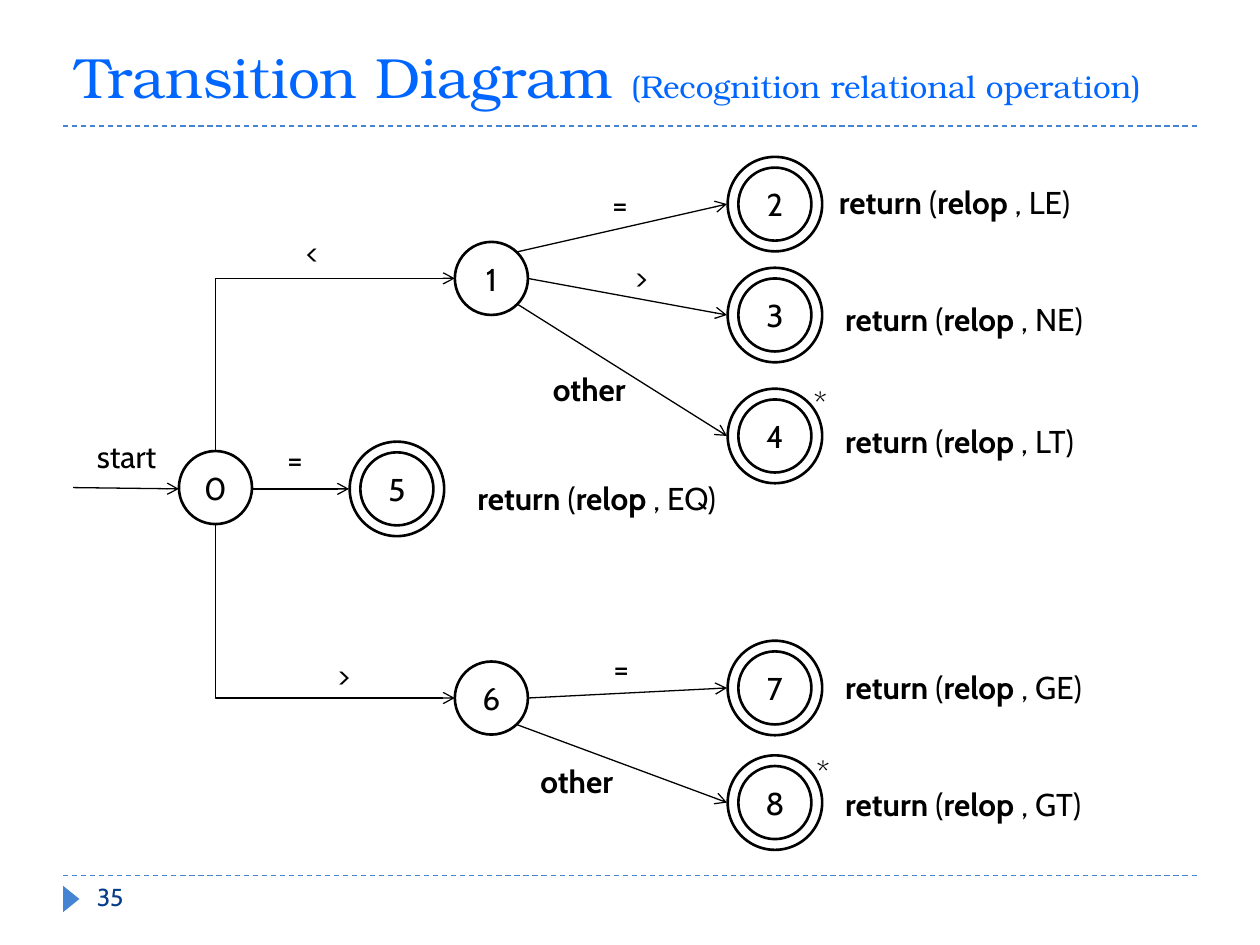
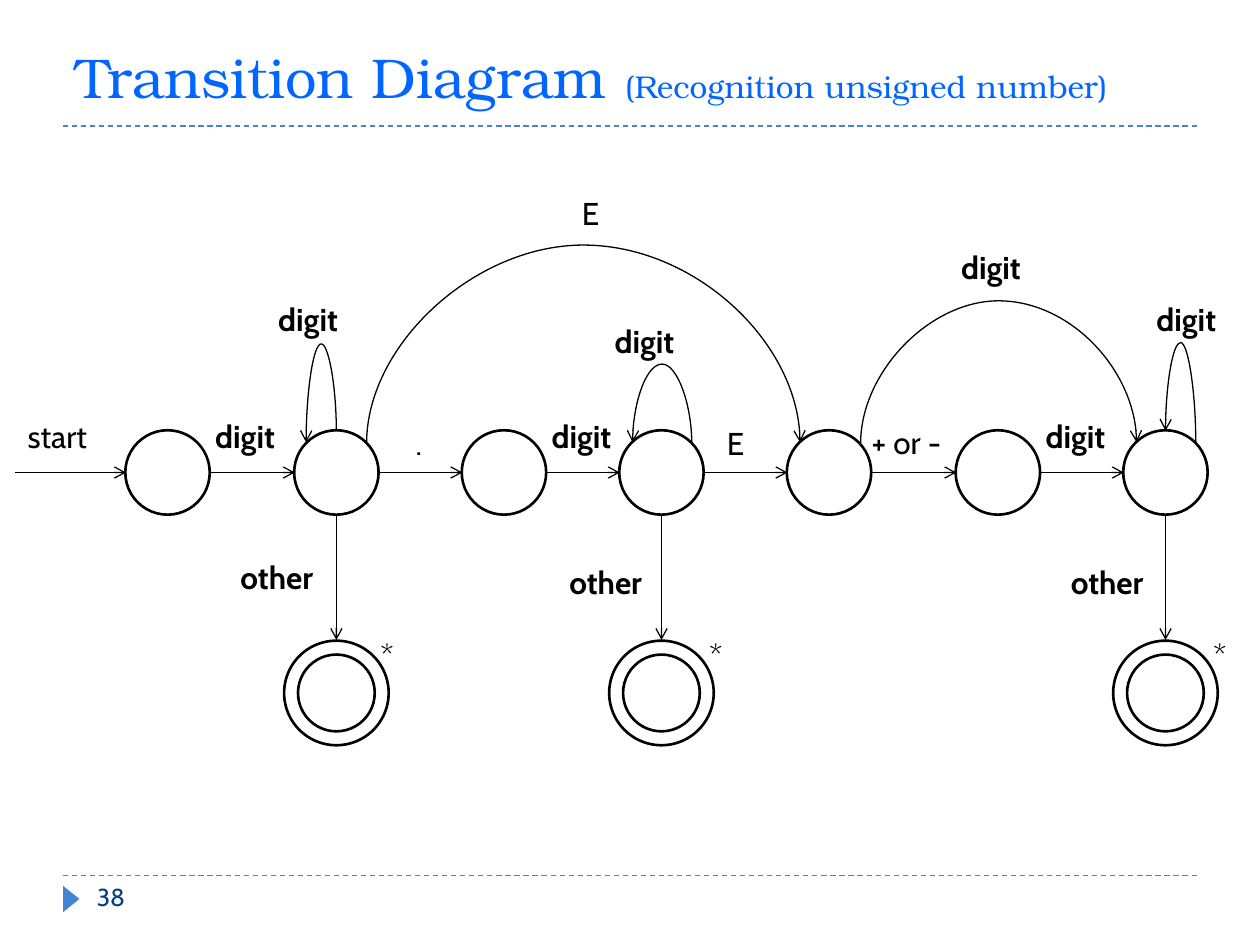
from lxml.etree import SubElement
from pptx import Presentation
from pptx.dml.color import RGBColor
from pptx.enum.dml import MSO_LINE
from pptx.enum.shapes import MSO_CONNECTOR, MSO_SHAPE
from pptx.enum.text import MSO_ANCHOR, MSO_AUTO_SIZE, PP_ALIGN
from pptx.oxml.ns import qn
from pptx.util import Inches, Pt

hue = RGBColor.from_string
BLACK, WHITE, BLUE, NAVY, AZURE = "000000", "FFFFFF", "4584D3", "073E87", "0066FF"
STRAIGHT, ELBOW, CURVE = MSO_CONNECTOR.STRAIGHT, MSO_CONNECTOR.ELBOW, MSO_CONNECTOR.CURVE


def write(shape, text, size=18, tint=BLACK, bold=False, face="Cabin", align=PP_ALIGN.LEFT):
    """Append one formatted run to the first paragraph of a shape."""
    para = shape.text_frame.paragraphs[0]
    para.alignment = align
    run = para.add_run()
    run.text = text
    run.font.name, run.font.size, run.font.bold = face, Pt(size), bold
    run.font.color.rgb = hue(tint)


def link(slide, start, end, kind=STRAIGHT, tint=BLACK, turn=0, flip="", bend=None,
         glue=(), dash=False):
    """Draw a line; a turned one is laid out in its box before rotation."""
    (x1, y1), (x2, y2) = start, end
    if turn:
        wide, high = abs(y2 - y1), abs(x2 - x1)
        left, top = (x1 + x2 - wide) / 2, (y1 + y2 - high) / 2
        x1, y1, x2, y2 = left, top, left + wide, top + high
    line = slide.shapes.add_connector(kind, *[Inches(v) for v in (x1, y1, x2, y2)])
    line.line.color.rgb = hue(tint)
    line.line.width = Pt(0.75)
    props = line._element.spPr
    if dash:
        line.line.dash_style = MSO_LINE.DASH
    else:
        SubElement(props.find(qn("a:ln")), qn("a:tailEnd"), type="arrow")
    SubElement(props, qn("a:effectLst"))
    if turn:
        frame, geom = props.find(qn("a:xfrm")), props.find(qn("a:prstGeom"))
        frame.set("rot", str(turn * 60000))
        for axis in flip:
            frame.set("flip" + axis, "1")
        if kind == ELBOW:
            geom.set("prst", "bentConnector2")
        if bend is not None:
            guides = geom.find(qn("a:avLst"))
            if guides is None:
                guides = SubElement(geom, qn("a:avLst"))
            SubElement(guides, qn("a:gd"), name="adj1", fmla=f"val {round(bend * 100000)}")
    # Sites on an oval run counterclockwise from the top, 0 to 7
    joint = line._element.find(qn("p:nvCxnSpPr")).find(qn("p:cNvCxnSpPr"))
    for tag, (node, site) in zip(("a:stCxn", "a:endCxn"), glue):
        SubElement(joint, qn(tag), id=str(node.shape_id), idx=str(site))


deck = Presentation()
deck.slide_width, deck.slide_height = Inches(10), Inches(7.5)

# Shared title, rules, marker and page number
pages = []
for topic, size, number in [("(Recognition relational operation)", 32.4, "35"),
                            ("(Recognition unsigned number)", 32, "38")]:
    slide = deck.slides.add_slide(deck.slide_layouts[5])
    pages.append(slide)
    for y in (6.95, 1):
        link(slide, (0.5, y), (9.5, y), tint=BLUE, dash=True)
    mark = slide.shapes.add_shape(MSO_SHAPE.ISOSCELES_TRIANGLE, Inches(0.46), Inches(7.07),
                                  Inches(0.21), Inches(0.13))
    mark.rotation = 90
    mark.shadow.inherit = False
    mark.fill.solid()
    mark.fill.fore_color.rgb = hue(BLUE)
    mark.line.fill.background()
    page = slide.shapes.add_textbox(Inches(0.67), Inches(6.95), Inches(0.5), Inches(0.4))
    page.text_frame.word_wrap = True
    write(page, number, size=14, tint=NAVY)
    title = slide.shapes.title
    title.left, title.top, title.width, title.height = [Inches(v) for v in (0.5, 0.17, 9, 0.75)]
    title.text_frame.auto_size = MSO_AUTO_SIZE.NONE
    title.text_frame.vertical_anchor = MSO_ANCHOR.BOTTOM
    write(title, "Transition Diagram ", size=size, tint=AZURE, face="TeX Gyre Bonum")
    write(title, topic, tint=AZURE, face="TeX Gyre Bonum")
relop, digits = pages

# States: slide, shape, centre, diameter, fill, key
spots = {"0": (1.71, 3.87), "5": (3.15, 3.88), "6": (3.9, 5.54), "1": (3.9, 2.21),
         "2": (6.15, 1.62), "3": (6.15, 2.5), "4": (6.15, 3.46), "8": (6.15, 6.37),
         "7": (6.15, 5.46)}
states = [(relop, MSO_SHAPE.OVAL, *spot, 0.58, WHITE, key) for key, spot in spots.items()]
states += [(relop, MSO_SHAPE.OVAL, *spots[key], 0.75, None, "ring" + key) for key in "523478"]
row = [1.33, 2.67, 4, 5.25, 6.58, 7.92, 9.25]
ends = [2.67, 5.25, 9.25]
states += [(digits, MSO_SHAPE.OVAL, x, 3.75, 0.67, WHITE, x) for x in row]
states += [(digits, MSO_SHAPE.DONUT, x, 5.5, 0.83, WHITE, ("end", x)) for x in ends]
nodes = {}
for slide, kind, x, y, size, fill, key in states:
    node = slide.shapes.add_shape(kind, Inches(x - size / 2), Inches(y - size / 2),
                                  Inches(size), Inches(size))
    node.shadow.inherit = False
    if fill:
        node.fill.solid()
        node.fill.fore_color.rgb = hue(fill)
    else:
        node.fill.background()
    node.line.color.rgb = hue(BLACK)
    node.line.width = Pt(1.5)
    if kind == MSO_SHAPE.DONUT:
        node.adjustments[0] = 0.133
    if key in spots:
        node.text_frame.word_wrap = False
        node.text_frame.vertical_anchor = MSO_ANCHOR.MIDDLE
        write(node, key, align=PP_ALIGN.CENTER)
    nodes[key] = node

# Relational operators: arrows
for start, end in [((2, 3.88), (2.77, 3.88)), ((0.58, 3.87), (1.42, 3.88)),
                   ((4.19, 2.21), (5.77, 2.5)), ((4.1, 2.41), (5.77, 3.46)),
                   ((4.1, 2), (5.77, 1.62)), ((4.19, 5.54), (5.77, 5.46)),
                   ((4.1, 5.75), (5.77, 6.37))]:
    link(relop, start, end)
link(relop, (1.71, 3.58), (3.61, 2.21), ELBOW, turn=90, flip="HV",
     glue=[(nodes["0"], 0), (nodes["1"], 2)])
link(relop, (1.71, 4.17), (3.61, 5.54), ELBOW, turn=270, flip="H",
     glue=[(nodes["0"], 4), (nodes["6"], 2)])

# Unsigned numbers: straight arrows
link(digits, (0.12, 3.75), (1, 3.75))
for x, follow in zip(row, row[1:]):
    link(digits, (x + 0.33, 3.75), (follow - 0.33, 3.75))
for x in ends:
    link(digits, (x, 4.08), (x, 5.08))

# Unsigned numbers: loops and jumps, each with its peak height
for start, end, peak, first, last in [
        ((2.67, 3.42), (2.43, 3.51), 2.73, (2.67, 0), (2.67, 1)),
        ((5.49, 3.52), (5.02, 3.51), 2.88, (5.25, 7), (5.25, 1)),
        ((9.49, 3.51), (9.25, 3.42), 2.72, (9.25, 7), (9.25, 0)),
        ((2.91, 3.52), (6.35, 3.51), 1.92, (2.67, 7), (6.58, 1)),
        ((6.83, 3.52), (9.02, 3.51), 2.37, (6.58, 7), (9.25, 1))]:
    right = end[0] > start[0]
    rises = start[1] > end[1]
    link(digits, start, end, CURVE, turn=90 if right else 270,
         flip="HV" if right == rises else "V", bend=(start[1] - peak) / (start[1] - end[1]),
         glue=[(nodes[key], site) for key, site in (first, last)])

# Labels: slide, left, top, width, runs, first run bold
labels = [(relop, x, y, w, ["return", " (", "relop", f" , {code})"], True)
          for x, y, w, code in [(6.56, 1.4, 2.23, "LE"), (6.61, 3.3, 2.23, "LT"),
                                (6.61, 2.33, 2.3, "NE"), (6.61, 5.25, 2.29, "GE"),
                                (6.61, 6.18, 2.32, "GT"), (3.69, 3.75, 2.31, "EQ")]]
labels += [(relop, x, y, 0.35, [sign], False)
           for x, y, sign in [(2.33, 1.8, "<"), (4.76, 1.42, "="), (2.18, 3.44, "="),
                              (4.94, 2, ">"), (2.58, 5.16, ">"), (4.77, 5.1, "=")]]
labels += [(slide, x, y, 0.68, ["start"], False)
           for slide, x, y in [(relop, 0.67, 3.42), (digits, 0.12, 3.26)]]
labels += [(slide, x, y, 0.85, ["other"], True)
           for slide, x, y in [(relop, 4.29, 2.89), (relop, 4.19, 6), (digits, 1.81, 4.38),
                               (digits, 4.42, 4.42), (digits, 8.4, 4.42)]]
labels += [(slide, x, y, 0.31, ["*"], False)
           for slide, x, y in [(relop, 6.36, 3), (relop, 6.38, 5.93), (digits, 9.53, 5),
                               (digits, 5.53, 5), (digits, 2.92, 5)]]
labels += [(digits, x, y, 0.72, ["digit"], True)
           for x, y in [(1.61, 3.26), (2.11, 2.33), (4.28, 3.26), (4.78, 2.51),
                        (7.53, 1.92), (8.2, 3.26), (9.08, 2.33)]]
labels += [(digits, x, y, w, [sign], False)
           for x, y, w, sign in [(3.2, 3.32, 0.26, "."), (5.67, 3.32, 0.33, "E"),
                                 (6.82, 3.31, 0.81, "+ or -"), (4.52, 1.49, 0.33, "E")]]
for slide, x, y, w, runs, bold in labels:
    box = slide.shapes.add_textbox(Inches(x), Inches(y), Inches(w), Inches(0.4))
    box.text_frame.word_wrap = False
    box.text_frame.auto_size = MSO_AUTO_SIZE.SHAPE_TO_FIT_TEXT
    for run in runs:
        write(box, run, bold=bold)
        bold = not bold

deck.save("out.pptx")
